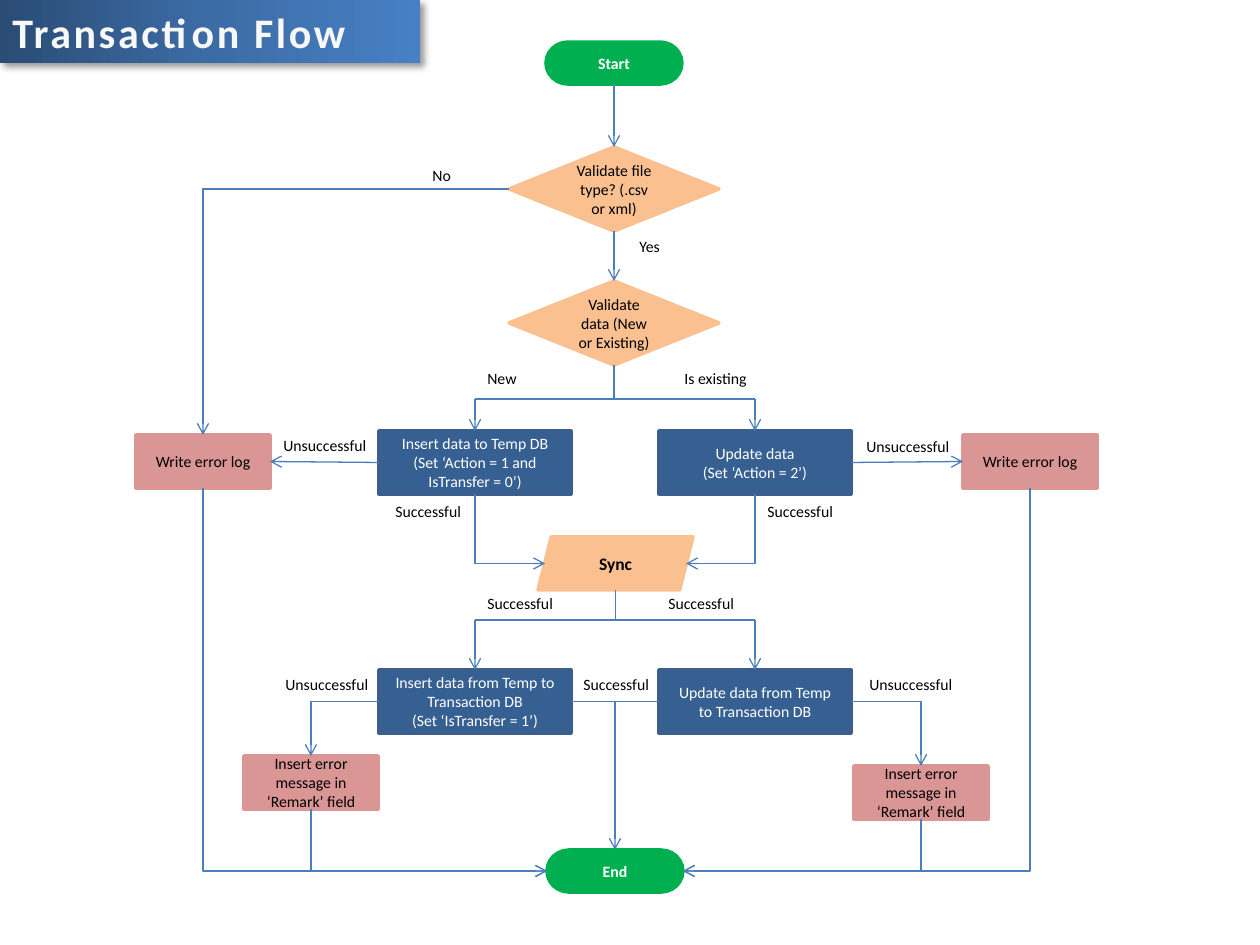
import dataclasses

import lxml.etree
import pptx
import pptx.dml.color
import pptx.enum.shapes
import pptx.enum.text
import pptx.oxml
import pptx.oxml.ns
import pptx.util

SHAPE = pptx.enum.shapes.MSO_SHAPE
CONNECTOR = pptx.enum.shapes.MSO_CONNECTOR
TOP, LEFT, BOTTOM, RIGHT = range(4)
PX_PER_INCH = 126


@dataclasses.dataclass(frozen=True)
class Theme:
    font: str = "Calibri"
    body: int = 9
    emphasis: int = 10
    title: int = 24
    black: str = "000000"
    white: str = "FFFFFF"
    title_text: str = "F8F8F8"
    terminal: str = "00B050"
    decision: str = "FAC090"
    process: str = "376092"
    process_edge: str = "3A5F8C"
    error: str = "D99694"
    connector: str = "4B7EBC"
    title_stops: tuple = ((0, "2A4C75"), (50, "3C6CA6"), (100, "4780C5"))


@dataclasses.dataclass(frozen=True)
class Box:
    left: int
    top: int
    width: int
    height: int

    def inner(self, left, top, width, height):
        return Box(self.left + left, self.top + top, width, height)

    def emu(self):
        return [px(value) for value in (self.left, self.top, self.width, self.height)]


THEME = Theme()


def px(value):
    return pptx.util.Emu(round(value * 914400 / PX_PER_INCH))


def rgb(value):
    return pptx.dml.color.RGBColor.from_string(value)


def write(shape, text, color, size=THEME.body, bold=False, centered=True):
    frame = shape.text_frame
    frame.word_wrap = True
    frame.text = text
    alignment = pptx.enum.text.PP_ALIGN
    for paragraph in frame.paragraphs:
        paragraph.alignment = alignment.CENTER if centered else alignment.LEFT
        for run in paragraph.runs:
            run.font.name = THEME.font
            run.font.size = pptx.util.Pt(size)
            run.font.bold = bold
            run.font.color.rgb = rgb(color)


def add_node(slide, kind, box, text, fill, edge=None, color=THEME.black, **style):
    shape = slide.shapes.add_shape(kind, *box.emu())
    shape.shadow.inherit = False
    shape.fill.solid()
    shape.fill.fore_color.rgb = rgb(fill)
    shape.line.color.rgb = rgb(edge or fill)
    shape.line.width = pptx.util.Pt(2)
    write(shape, text, color, **style)
    shape.text_frame.vertical_anchor = pptx.enum.text.MSO_ANCHOR.MIDDLE
    return shape


def add_terminal(slide, box, text):
    return add_node(slide, SHAPE.FLOWCHART_TERMINATOR, box, text, THEME.terminal,
                    color=THEME.white, bold=True)


def add_process(slide, box, text):
    return add_node(slide, SHAPE.RECTANGLE, box, text, THEME.process,
                    THEME.process_edge, THEME.white)


def add_labels(slide, region, labels):
    for text, left, top, width in labels:
        label = slide.shapes.add_textbox(*region.inner(left, top, width, 32).emu())
        write(label, text, THEME.black, centered=False)
        label.text_frame.auto_size = pptx.enum.text.MSO_AUTO_SIZE.SHAPE_TO_FIT_TEXT


def side(shape, site):
    """The middle of one side of a shape."""
    x = shape.left + (0, 0.5, 1)[{LEFT: 0, RIGHT: 2}.get(site, 1)] * shape.width
    y = shape.top + (0, 0.5, 1)[{TOP: 0, BOTTOM: 2}.get(site, 1)] * shape.height
    return round(x), round(y)


def add_connector(slide, kind, begin, end, arrow):
    connector = slide.shapes.add_connector(kind, *map(round, (*begin, *end)))
    connector.line.color.rgb = rgb(THEME.connector)
    connector.line.width = pptx.util.Pt(0.75)
    if arrow:
        lxml.etree.SubElement(connector.line._get_or_add_ln(),
                              pptx.oxml.ns.qn("a:tailEnd"), type="arrow")
    lxml.etree.SubElement(connector._element.spPr, pptx.oxml.ns.qn("a:effectLst"))
    return connector


def add_line(slide, begin, end, arrow=True):
    """Each end is a point or a (shape, site) pair, which is joined."""
    ends = (begin, end)
    joined = [not isinstance(place[0], int) for place in ends]
    points = [side(*place) if join else place for place, join in zip(ends, joined)]
    connector = add_connector(slide, CONNECTOR.STRAIGHT, *points, arrow)
    if joined[0]:
        connector.begin_connect(*begin)
    if joined[1]:
        connector.end_connect(*end)


def add_elbow(slide, begin, end, down_first=True):
    """One right-angle turn; a downward start is a sideways one rotated."""
    rotation = 0
    if down_first:
        (x1, y1), (x2, y2) = begin, end
        middle_x, middle_y = (x1 + x2) / 2, (y1 + y2) / 2
        half_width, half_height = abs(y2 - y1) / 2, abs(x2 - x1) / 2
        rotation = 90 if x2 < x1 else 270
        if rotation == 270:
            half_width = -half_width
        begin = middle_x - half_width, middle_y - half_height
        end = middle_x + half_width, middle_y + half_height
    connector = add_connector(slide, CONNECTOR.ELBOW, begin, end, True)
    properties = connector._element.spPr
    properties.find(pptx.oxml.ns.qn("a:prstGeom")).set("prst", "bentConnector2")
    properties.find(pptx.oxml.ns.qn("a:xfrm")).set("rot", str(rotation * 60000))


def add_split(slide, source, targets, bar_top):
    middle, bottom = side(source, BOTTOM)
    bar = px(bar_top)
    columns = [side(target, TOP)[0] for target in targets]
    add_line(slide, (middle, bottom), (middle, bar), arrow=False)
    add_line(slide, (columns[1], bar), (columns[0], bar), arrow=False)
    for target, column in zip(targets, columns):
        add_line(slide, (column, bar), (target, TOP))


def draw_title(slide, box):
    shape = slide.shapes.add_shape(SHAPE.RECTANGLE, *box.emu())
    shape.line.fill.background()
    write(shape, "Transaction Flow", THEME.title_text, THEME.title, True, centered=False)
    shape.text_frame.vertical_anchor = pptx.enum.text.MSO_ANCHOR.TOP
    shape.text_frame.paragraphs[0].runs[0].font._element.set("spc", "150")
    # Three-stop gradient and soft shadow
    namespace = pptx.oxml.ns.nsdecls("a")
    stops = "".join(f'<a:gs pos="{position * 1000}"><a:srgbClr val="{color}"/></a:gs>'
                    for position, color in THEME.title_stops)
    properties = shape._element.spPr
    properties.find(pptx.oxml.ns.qn("a:prstGeom")).addnext(pptx.oxml.parse_xml(
        f'<a:gradFill {namespace} rotWithShape="1"><a:gsLst>{stops}</a:gsLst>'
        '<a:lin ang="0" scaled="0"/></a:gradFill>'))
    properties.append(pptx.oxml.parse_xml(
        f'<a:effectLst {namespace}><a:outerShdw blurRad="50800" dist="38100" dir="2700000" '
        f'algn="tl" rotWithShape="0"><a:srgbClr val="{THEME.black}"><a:alpha val="40000"/>'
        '</a:srgbClr></a:outerShdw></a:effectLst>'))


def draw_validation(slide, box):
    start = add_terminal(slide, box.inner(126, 0, 136, 42), "Start")
    file_check, data_check = [
        add_node(slide, SHAPE.DIAMOND, box.inner(89, top, 210, 84), text, THEME.decision)
        for top, text in ((105, "Validate file type? (.csv or xml)"),
                          (239, "Validate data (New or Existing)"))]
    add_line(slide, (start, BOTTOM), (file_check, TOP))
    add_line(slide, (file_check, BOTTOM), (data_check, TOP))
    add_labels(slide, box, [("No", 0, 118, 78), ("Yes", 207, 189, 78),
                            ("New", 55, 321, 78), ("Is existing", 252, 321, 105)])
    return file_check, data_check


def draw_staging(slide, box):
    insert, update = [add_process(slide, box.inner(left, 1, 192, 63), text) for left, text in (
        (243, "Insert data to Temp DB\n(Set ‘Action = 1 and IsTransfer = 0’)"),
        (523, "Update data\n(Set ‘Action = 2’)"))]
    logs = [add_node(slide, SHAPE.RECTANGLE, box.inner(left, 5, 134, 53),
                     "Write error log", THEME.error) for left in (0, 827)]
    sync = add_node(slide, SHAPE.PARALLELOGRAM, box.inner(402, 107, 155, 53), "Sync",
                    THEME.decision, size=THEME.emphasis, bold=True)
    add_line(slide, (insert, LEFT), (logs[0], RIGHT))
    add_line(slide, (update, RIGHT), (logs[1], LEFT))
    # The slanted sides lie inside the frame at mid height
    for source, site, inset in ((insert, LEFT, 7), (update, RIGHT, -7)):
        x, y = side(sync, site)
        add_elbow(slide, side(source, BOTTOM), (x + px(inset), y))
    add_labels(slide, box, [("Unsuccessful", 135, 0, 116), ("Unsuccessful", 718, 1, 116),
                            ("Successful", 247, 66, 98), ("Successful", 619, 66, 98)])
    return (insert, update), logs, sync


def draw_transfer(slide, box):
    insert, update = [add_process(slide, box.inner(left, 82, 192, 63), text) for left, text in (
        (135, "Insert data from Temp to Transaction DB\n(Set ‘IsTransfer = 1’)"),
        (415, "Update data from Temp to Transaction DB"))]
    remarks = [add_node(slide, SHAPE.RECTANGLE, box.inner(left, top, 134, 53),
                        "Insert error message in ‘Remark’ field", THEME.error)
               for left, top in ((0, 168), (610, 178))]
    end = add_terminal(slide, box.inner(303, 262, 136, 42), "End")
    for source, remark, site in ((insert, remarks[0], LEFT), (update, remarks[1], RIGHT)):
        add_elbow(slide, side(source, site), side(remark, TOP), down_first=False)
        add_elbow(slide, side(remark, BOTTOM), side(end, site))
    add_line(slide, (insert, RIGHT), (update, LEFT), arrow=False)
    add_line(slide, (side(end, TOP)[0], side(insert, RIGHT)[1]), (end, TOP))
    add_labels(slide, box, [("Successful", 231, 0, 98), ("Successful", 412, 0, 98),
                            ("Unsuccessful", 29, 81, 116), ("Unsuccessful", 613, 81, 116),
                            ("Successful", 327, 81, 98)])
    return (insert, update), end


def main():
    presentation = pptx.Presentation()
    presentation.slide_width, presentation.slide_height = px(1260), px(945)
    slide = presentation.slides.add_slide(presentation.slide_layouts[6])

    file_check, data_check = draw_validation(slide, Box(420, 42, 357, 353))
    staging, logs, sync = draw_staging(slide, Box(136, 430, 961, 160))
    transfer, end = draw_transfer(slide, Box(244, 588, 744, 304))

    # Links between the regions
    add_split(slide, data_check, staging, 399)
    add_split(slide, sync, transfer, 620)
    add_elbow(slide, side(file_check, LEFT), side(logs[0], TOP), down_first=False)
    for log, site in zip(logs, (LEFT, RIGHT)):
        add_elbow(slide, side(log, BOTTOM), side(end, site))

    draw_title(slide, Box(0, 0, 420, 63))
    presentation.save("out.pptx")


if __name__ == "__main__":
    main()
